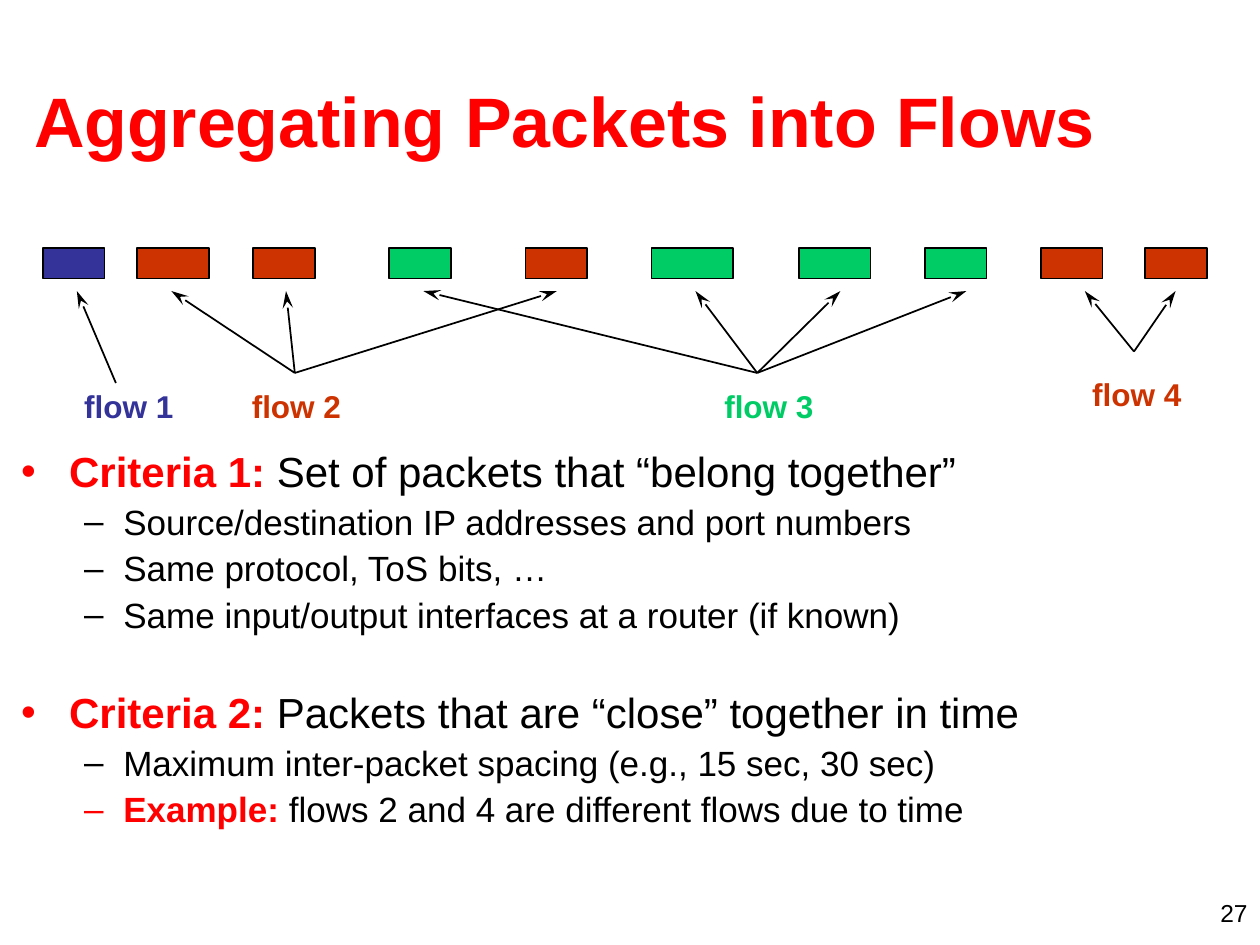
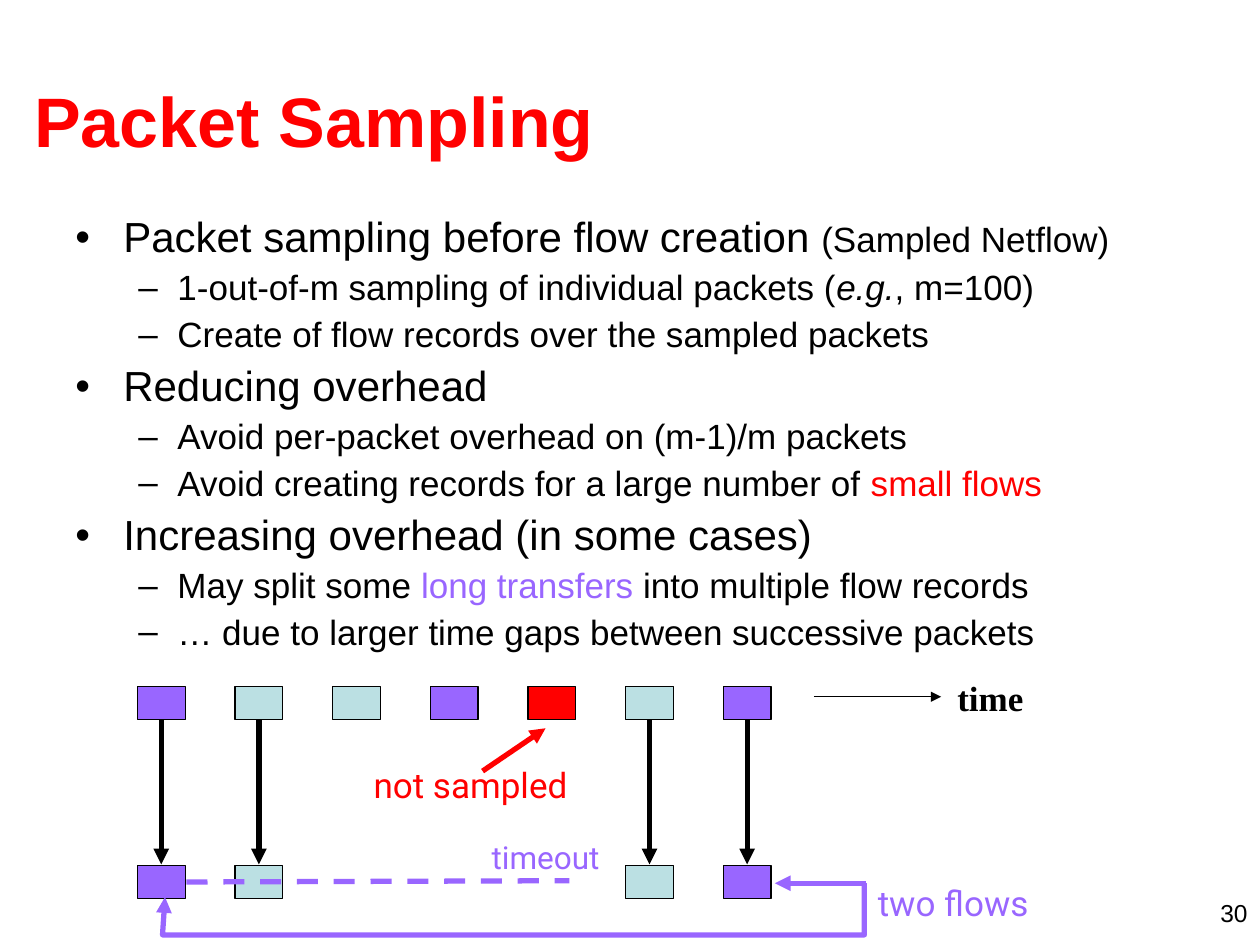
"""Build two slides on packet flows and packet sampling."""
from lxml import etree
from pptx import Presentation
from pptx.dml.color import RGBColor
from pptx.enum import dml, shapes, text
from pptx.oxml.ns import qn
from pptx.util import Inches, Pt

COLOURS = {"black": "000000", "red": "FF0000", "navy": "333399", "rust": "CC3300",
           "green": "00CC66", "violet": "9966FF", "ice": "BBE0E3"}
RGB = {name: RGBColor.from_string(value) for name, value in COLOURS.items()}
LEVELS = [{"size": 24, "left": 0.38, "indent": -0.38, "before": 6, "bullet": "•"},
          {"size": 20, "left": 0.81, "indent": -0.31, "before": 5, "bullet": "–"}]
TITLE_FRAME = {"vertical_anchor": text.MSO_ANCHOR.MIDDLE, "word_wrap": True,
               "auto_size": text.MSO_AUTO_SIZE.NONE}


def write_run(paragraph, wording, colour="black", size=20, **font_format):
    run = paragraph.add_run()
    run.text = wording
    run.font.color.rgb = RGB[colour]
    for name, value in {"name": "Arial", "size": Pt(size), **font_format}.items():
        setattr(run.font, name, value)


def style_line(shape, colour="black", width=1, arrow=None, kind="triangle", length="med",
               dash=None):
    shape.line.color.rgb = RGB[colour]
    shape.line.width = Pt(width)
    if dash:
        shape.line.dash_style = dash
    properties = shape._element.spPr
    if arrow:
        etree.SubElement(properties.find(qn("a:ln")), qn(arrow), type=kind, len=length)
    etree.SubElement(properties, qn("a:effectLst"))


presentation = Presentation()
presentation.slide_width, presentation.slide_height = Inches(10), Inches(7.5)
title_only = presentation.slide_layouts[5]
flows, sampling = [presentation.slides.add_slide(title_only) for _ in range(2)]

for slide, heading, number in [(flows, "Aggregating Packets into Flows", "27"),
                               (sampling, "Packet Sampling", "30")]:
    title = slide.shapes.title
    title.left, title.top, title.width, title.height = map(Inches, (0.17, 0.32, 9.58, 1.25))
    for name, value in TITLE_FRAME.items():
        setattr(title.text_frame, name, value)
    paragraph = title.text_frame.paragraphs[0]
    paragraph.alignment = text.PP_ALIGN.LEFT
    write_run(paragraph, heading, "red", 40, bold=True)

    page = slide.shapes.add_textbox(*map(Inches, (7.67, 7.08, 2.33, 0.25)))
    page.text_frame.word_wrap = True
    paragraph = page.text_frame.paragraphs[0]
    paragraph.alignment = text.PP_ALIGN.RIGHT
    write_run(paragraph, number, size=14)

key = {"colour": "red", "bold": True}
criteria = [
    (0, [("Criteria 1:", key), (" Set of packets that “belong together”", {})]),
    (1, [("Source/destination IP addresses and port numbers", {})]),
    (1, [("Same protocol, ToS bits, …", {})]),
    (1, [("Same input/output interfaces at a router (if known)", {})]),
    (0, [("Criteria 2:", key), (" Packets that are “close” together in time", {})]),
    (1, [("Maximum inter-packet spacing (e.g., 15 sec, 30 sec)", {})]),
    (1, [("Example:", key), (" flows 2 and 4 are different flows due to time", {})]),
]
overhead = [
    (0, [("Packet sampling before flow creation ", {}), ("(Sampled Netflow)", {"size": 20})]),
    (1, [("1-out-of-m sampling of individual packets (", {}), ("e.g.", {"italic": True}),
         (", m=100)", {})]),
    (1, [("Create of flow records over the sampled packets", {})]),
    (0, [("Reducing overhead", {})]),
    (1, [("Avoid per-packet overhead on (m-1)/m packets", {})]),
    (1, [("Avoid creating records for a large number of ", {}),
         ("small flows", {"colour": "red"})]),
    (0, [("Increasing overhead (in some cases)", {})]),
    (1, [("May split some ", {}), ("long transfers", {"colour": "violet"}),
         (" into multiple flow records", {})]),
    (1, [("… due to larger time gaps between successive packets", {})]),
]
for slide, place, outline, section_gap in [(flows, (0.07, 3.53, 9.81, 3.5), criteria, 32),
                                           (sampling, (0.5, 1.67, 9.42, 3.83), overhead, 6)]:
    frame = slide.shapes.add_textbox(*map(Inches, place)).text_frame
    frame.word_wrap = True
    for index, (level, runs) in enumerate(outline):
        paragraph = frame.add_paragraph() if index else frame.paragraphs[0]
        style = LEVELS[level]
        properties = paragraph._p.get_or_add_pPr()
        properties.set("marL", str(Inches(style["left"])))
        properties.set("indent", str(Inches(style["indent"])))
        bullet_colour = etree.SubElement(properties, qn("a:buClr"))
        etree.SubElement(bullet_colour, qn("a:srgbClr"),
                         val=COLOURS[runs[0][1].get("colour", "black")])
        etree.SubElement(properties, qn("a:buFont"), typeface="Arial")
        etree.SubElement(properties, qn("a:buChar"), char=style["bullet"])
        paragraph.level = level
        paragraph.line_spacing = 0.9
        if index:
            paragraph.space_before = Pt(style["before"] if level else section_gap)
        for wording, font_format in runs:
            write_run(paragraph, wording, **{"size": style["size"], **font_format})

flow_packets = [(0.34, 0.49, "navy"), (1.09, 0.57, "rust"), (2.01, 0.49, "rust"),
                (3.09, 0.49, "green"), (4.17, 0.49, "rust"), (5.17, 0.65, "green"),
                (6.34, 0.57, "green"), (7.34, 0.49, "green"), (8.26, 0.49, "rust"),
                (9.09, 0.49, "rust")]
packets = [(flows, (left, 1.97, width, 0.24), colour, 1)
           for left, width, colour in flow_packets]

stream = ["violet", "ice", "ice", "violet", "red", "ice", "violet"]
columns = [1.09 + 4.65 * index / 6 for index in range(len(stream))]
sampled = [0, 1, 5, 6]
for top, chosen in [(5.45, range(len(stream))), (6.87, sampled)]:
    packets += [(sampling, (columns[index], top, 0.38, 0.26), stream[index], 0.75)
                for index in chosen]

for slide, place, colour, outline_width in packets:
    packet = slide.shapes.add_shape(shapes.MSO_SHAPE.RECTANGLE, *map(Inches, place))
    packet.fill.solid()
    packet.fill.fore_color.rgb = RGB[colour]
    style_line(packet, width=outline_width)

flow_fans = [((0.92, 3.04), [0.61]), ((2.34, 2.96), [1.36, 2.27, 4.42]),
             ((6.01, 2.96), [3.36, 5.52, 6.67, 7.67]), ((9, 2.79), [8.61, 9.33])]
lines = [(flows, (target, 2.31, *hub),
          {"arrow": "a:headEnd", "kind": "stealth", "length": "lg"})
         for hub, targets in flow_fans for target in targets]
lines += [(sampling, (columns[index] + 0.19, 5.71, columns[index] + 0.19, 6.86),
           {"width": 3, "arrow": "a:tailEnd"}) for index in sampled]
lines += [
    (sampling, (6.46, 5.53, 7.47, 5.53), {"width": 0.75, "arrow": "a:tailEnd"}),
    (sampling, (3.83, 6.12, 4.33, 5.78), {"colour": "red", "width": 3, "arrow": "a:tailEnd"}),
    (sampling, (6.87, 7.01, 6.15, 7.01), {"colour": "violet", "width": 3, "arrow": "a:tailEnd"}),
    (sampling, (1.48, 7, 4.52, 6.99),
     {"colour": "violet", "width": 3, "dash": dml.MSO_LINE.DASH}),
]
for slide, ends, line_format in lines:
    line = slide.shapes.add_connector(shapes.MSO_CONNECTOR.STRAIGHT, *map(Inches, ends))
    style_line(line, **line_format)

builder = sampling.shapes.build_freeform(Inches(6.86), Inches(7.01))
builder.add_line_segments([(Inches(x), Inches(y)) for x, y in
                           [(6.86, 7.42), (1.29, 7.42), (1.31, 7.12)]], close=False)
two_flows_link = builder.convert_to_shape()
two_flows_link.fill.background()
style_line(two_flows_link, "violet", 3, "a:tailEnd")

left, centre = text.PP_ALIGN.LEFT, text.PP_ALIGN.CENTER
flow_label = {"size": 18, "bold": True}
labels = [
    (flows, (0.57, 3.02, 0.91, 0.4), "flow 1", left, {"colour": "navy", **flow_label}),
    (flows, (1.9, 3.02, 0.91, 0.4), "flow 2", left, {"colour": "rust", **flow_label}),
    (flows, (5.65, 3.02, 0.91, 0.4), "flow 3", left, {"colour": "green", **flow_label}),
    (flows, (8.57, 2.93, 0.91, 0.4), "flow 4", left, {"colour": "rust", **flow_label}),
    (sampling, (7.4, 5.32, 0.92, 0.44), "time", centre,
     {"name": "Times New Roman", "bold": True}),
    (sampling, (2.82, 6.01, 1.83, 0.44), "not sampled", centre,
     {"name": "Roboto", "colour": "red"}),
    (sampling, (6.84, 6.95, 1.45, 0.44), "two flows", centre,
     {"name": "Roboto", "colour": "violet"}),
    (sampling, (3.77, 6.6, 1.12, 0.4), "timeout", centre,
     {"name": "Roboto", "colour": "violet", "size": 18}),
]
for slide, place, wording, alignment, font_format in labels:
    frame = slide.shapes.add_textbox(*map(Inches, place)).text_frame
    frame.word_wrap = False
    paragraph = frame.paragraphs[0]
    paragraph.alignment = alignment
    write_run(paragraph, wording, **font_format)

presentation.save("out.pptx")
